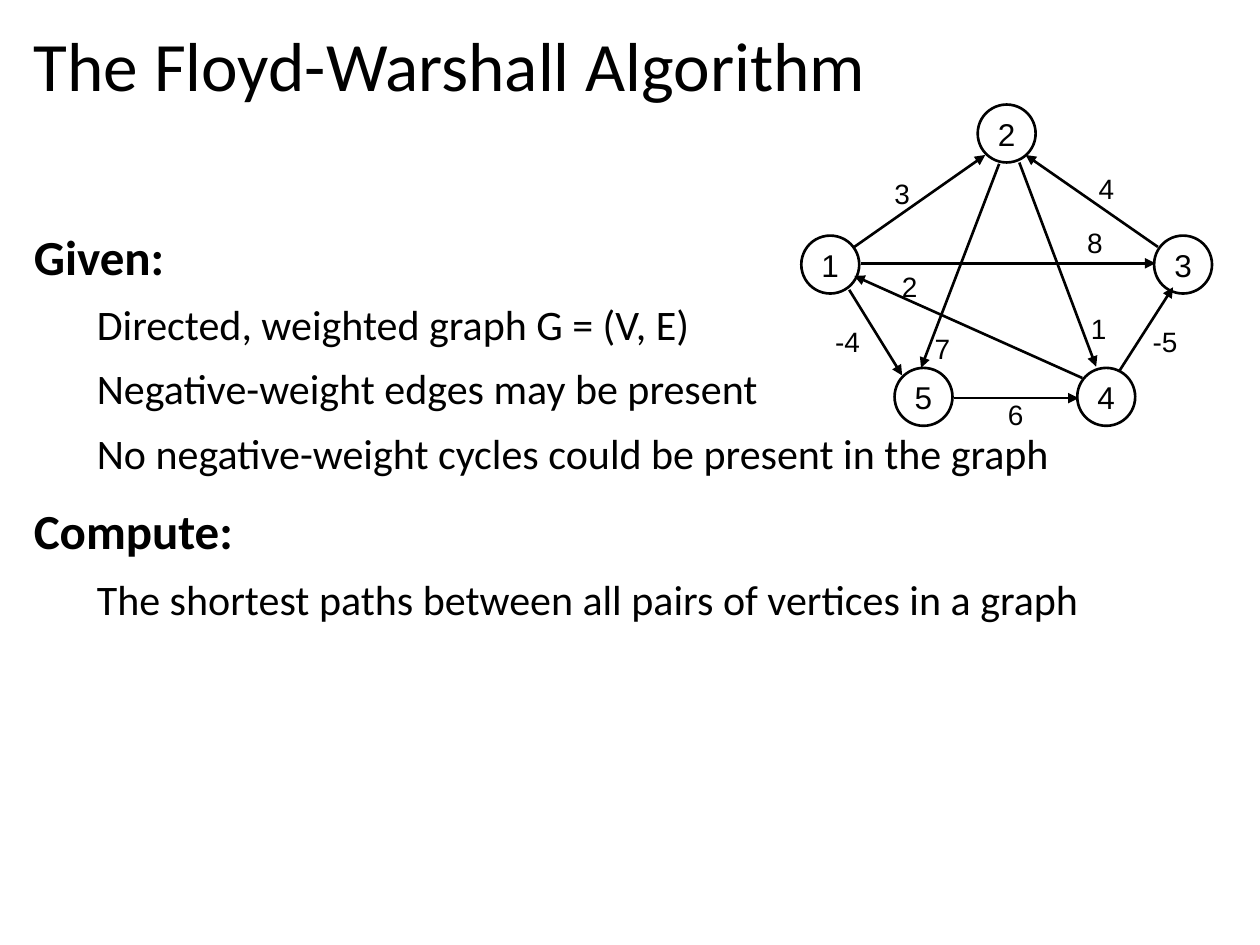
from lxml.etree import SubElement
from pptx import Presentation
from pptx.dml.color import RGBColor
from pptx.enum.shapes import MSO_CONNECTOR as Connector, MSO_SHAPE as Shape
from pptx.enum.text import MSO_ANCHOR as Anchor, PP_ALIGN as Align
from pptx.oxml.ns import qn
from pptx.util import Inches, Pt

BLACK = RGBColor(0x00, 0x00, 0x00)
NODE_SIZE = 0.46

NODES = {
    "1": (6.36, 1.87),
    "2": (7.76, 0.83),
    "3": (9.16, 1.87),
    "4": (8.55, 2.92),
    "5": (7.1, 2.92),
}

EDGES = [
    ((6.78, 1.96), (7.82, 1.23), "3", (7, 1.35)),
    ((6.74, 2.3), (7.16, 2.98), "-4", (6.53, 2.53)),
    ((7.93, 1.3), (7.31, 2.92), "7", (7.32, 2.58)),
    ((7.57, 3.16), (8.56, 3.16), "6", (7.9, 3.11)),
    ((8.59, 3), (6.78, 2.19), "2", (7.06, 2.09)),
    ((9.19, 1.96), (8.14, 1.23), "4", (8.62, 1.31)),
    ((8.09, 1.29), (8.7, 2.91), "1", (8.56, 2.42)),
    ((8.88, 2.95), (9.31, 2.28), "-5", (9.05, 2.53)),
    ((6.83, 2.09), (9.17, 2.09), "8", (8.53, 1.74)),
]

SECTIONS = {
    "Given:": [
        "Directed, weighted graph G = (V, E)",
        "Negative-weight edges may be present",
        "No negative-weight cycles could be present in the graph",
    ],
    "Compute:": ["The shortest paths between all pairs of vertices in a graph"],
}


def write_text(paragraph, text, *, font, size, bold=False, align=Align.LEFT,
               spacing=1.0, before=0, indent=0):
    if indent:
        properties = paragraph._p.get_or_add_pPr()
        properties.set("marL", str(Inches(indent)))
        properties.set("indent", "0")
    paragraph.alignment = align
    paragraph.line_spacing = spacing
    paragraph.space_before = Pt(before)
    run = paragraph.add_run()
    run.text = text
    run.font.name = font
    run.font.size = Pt(size)
    run.font.bold = bold
    run.font.color.rgb = BLACK


class GraphSlide:
    heading_font = "Calibri"
    graph_font = "Arial"
    line_width = Pt(1.5)

    def __init__(self, slide):
        self.slide = slide

    def text_box(self, left, top, width, height, wrap=True, anchor=Anchor.TOP):
        box = self.slide.shapes.add_textbox(
            Inches(left), Inches(top), Inches(width), Inches(height))
        frame = box.text_frame
        frame.word_wrap = wrap
        frame.vertical_anchor = anchor
        return frame

    def title(self, text):
        frame = self.text_box(0.17, 0.18, 9.62, 0.74, anchor=Anchor.MIDDLE)
        write_text(frame.paragraphs[0], text, font=self.heading_font,
                   size=39.6, spacing=0.9)

    def body(self, sections):
        frame = self.text_box(0.17, 1.7, 9.62, 5.06)
        paragraph = frame.paragraphs[0]
        before = 0
        for heading, items in sections.items():
            write_text(paragraph, heading, font=self.heading_font, size=28,
                       bold=True, spacing=1.1, before=before)
            for item in items:
                write_text(frame.add_paragraph(), item, font=self.heading_font,
                           size=24, spacing=1.1, before=5, indent=0.5)
            if heading != list(sections)[-1]:
                paragraph = frame.add_paragraph()
                before = 10

    def node(self, name, left, top):
        shape = self.slide.shapes.add_shape(
            Shape.OVAL, Inches(left), Inches(top),
            Inches(NODE_SIZE), Inches(NODE_SIZE))
        shape.shadow.inherit = False
        shape.fill.background()
        shape.line.color.rgb = BLACK
        shape.line.width = self.line_width
        frame = shape.text_frame
        frame.word_wrap = False
        frame.vertical_anchor = Anchor.MIDDLE
        write_text(frame.paragraphs[0], name, font=self.graph_font, size=18,
                   align=Align.CENTER)

    def arrow(self, start, end):
        connector = self.slide.shapes.add_connector(
            Connector.STRAIGHT, *(Inches(value) for value in start + end))
        connector.line.color.rgb = BLACK
        connector.line.width = self.line_width
        SubElement(connector.line._get_or_add_ln(), qn("a:tailEnd"), type="triangle")
        SubElement(connector._element.spPr, qn("a:effectLst"))

    def weight(self, text, left, top):
        width = 0.4 if text.startswith("-") else 0.32
        frame = self.text_box(left, top, width, 0.37, wrap=False)
        write_text(frame.paragraphs[0], text, font=self.graph_font, size=16)


def main():
    presentation = Presentation()
    presentation.slide_width = Inches(10)
    presentation.slide_height = Inches(7.5)
    graph = GraphSlide(presentation.slides.add_slide(presentation.slide_layouts[6]))
    graph.title("The Floyd-Warshall Algorithm")
    graph.body(SECTIONS)
    for name, position in NODES.items():
        graph.node(name, *position)
    for start, end, weight, position in EDGES:
        graph.arrow(start, end)
        graph.weight(weight, *position)
    presentation.save("out.pptx")


if __name__ == "__main__":
    main()
